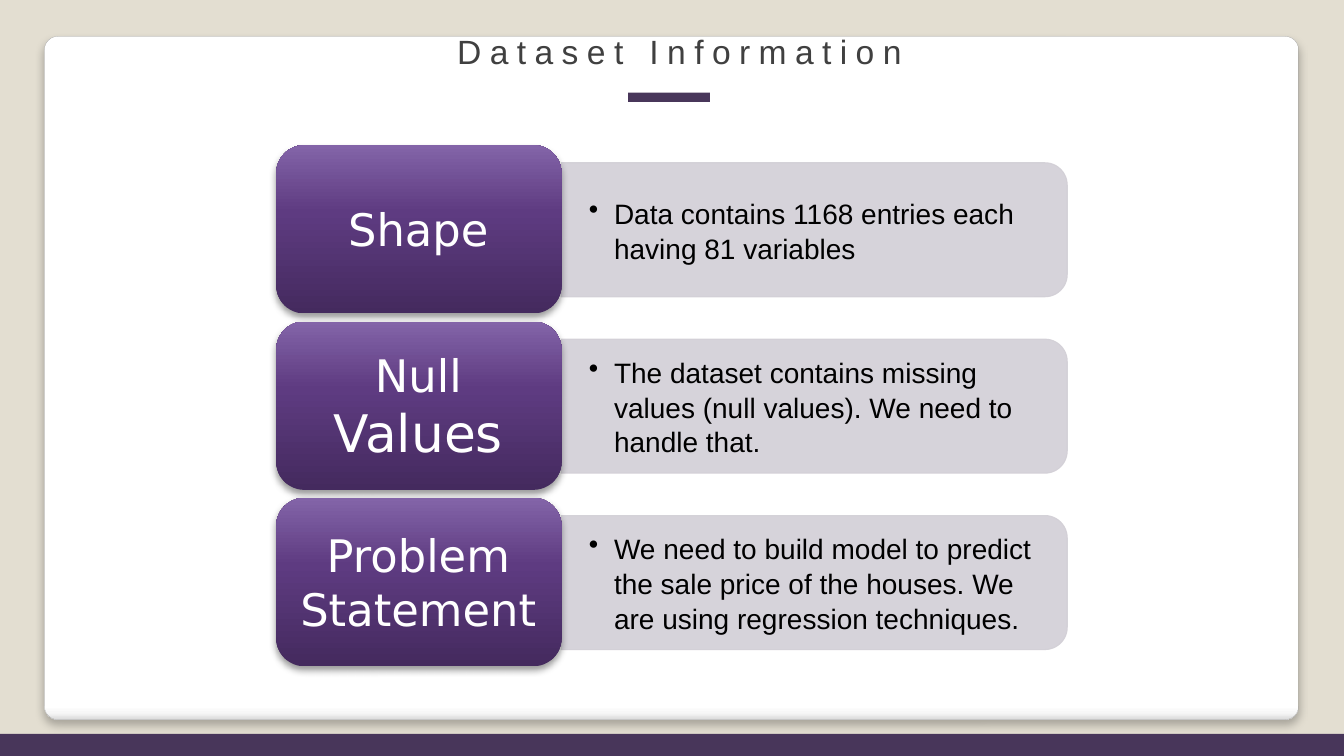
from dataclasses import dataclass

from pptx import Presentation
from pptx.dml.color import RGBColor
from pptx.enum.shapes import MSO_SHAPE
from pptx.enum.text import MSO_ANCHOR, MSO_AUTO_SIZE, PP_ALIGN
from pptx.oxml import parse_xml
from pptx.oxml.ns import nsdecls
from pptx.util import Inches, Pt

RECT = MSO_SHAPE.RECTANGLE
ROUND = MSO_SHAPE.ROUNDED_RECTANGLE
TAB = MSO_SHAPE.ROUND_2_SAME_RECTANGLE
MID = MSO_ANCHOR.MIDDLE
LEFT, CENTER = PP_ALIGN.LEFT, PP_ALIGN.CENTER
GROW = MSO_AUTO_SIZE.SHAPE_TO_FIT_TEXT

HUES = {
    "back": "E3DED1", "plum": "48365A", "title": "404040", "edge": "A4A4A4",
    "panel": "D2CFD6", "black": "000000", "white": "FFFFFF",
}
CARD_STOPS = [(0, "FFFFFF"), (98, "FFFFFF"), (99, "F7F7F7"), (100, "DADADA")]
LABEL_STOPS = [(0, "442A5E"), (60, "5E3B81"), (100, "8364A8")]

TITLE = {"name": "Arial", "size": Pt(24), "hue": "title"}
BODY = {"name": "Arial", "size": Pt(20), "hue": "black"}
LABEL = {"name": "DejaVu Sans", "size": Pt(32), "hue": "white"}
LARGE = LABEL | {"size": Pt(37)}

TOP, PITCH = 1.44, 1.75


@dataclass
class Row:
    label: list[tuple[str, dict]]
    body: str


ROWS = [
    Row([("Shape", LABEL)], "Data contains 1168 entries each having 81 variables"),
    Row([("Null ", LABEL), ("Values", LARGE)],
        "The dataset contains missing values (null values). We need to handle that."),
    Row([("Problem Statement", LABEL)],
        "We need to build model to predict the sale price of the houses. "
        "We are using regression techniques."),
]


def tint(name: str) -> RGBColor:
    return RGBColor.from_string(HUES[name])


def add_block(slide, kind, box: tuple, hue: str = ""):
    block = slide.shapes.add_shape(kind, *map(Inches, box))
    block.shadow.inherit = False
    block.line.fill.background()
    if hue:
        block.fill.solid()
        block.fill.fore_color.rgb = tint(hue)
    return block


def blend(block, stops: list, angle: int) -> None:
    marks = "".join(
        f'<a:gs pos="{spot * 1000}"><a:srgbClr val="{hue}"/></a:gs>' for spot, hue in stops)
    block._element.spPr.prstGeom.addnext(parse_xml(
        f'<a:gradFill {nsdecls("a")} rotWithShape="1"><a:gsLst>{marks}</a:gsLst>'
        f'<a:lin ang="{angle * 60000}" scaled="0"/></a:gradFill>'))


def shade(block, blur: float, gap: float, alpha: int) -> None:
    block._element.spPr.find(".//{*}effectLst").append(parse_xml(
        f'<a:outerShdw {nsdecls("a")} blurRad="{Pt(blur)}" dist="{Pt(gap)}" dir="5400000" '
        f'algn="ctr" rotWithShape="0"><a:srgbClr val="000000">'
        f'<a:alpha val="{alpha * 1000}"/></a:srgbClr></a:outerShdw>'))


def add_text(slide, box: tuple, runs: list, align, pad: tuple, **frame):
    area = slide.shapes.add_textbox(*map(Inches, box)).text_frame
    side, end = map(Inches, pad)
    look = {"word_wrap": True, "margin_left": side, "margin_right": side,
            "margin_top": end, "margin_bottom": end} | frame
    for key, value in look.items():
        setattr(area, key, value)
    para = area.paragraphs[0]
    para.alignment = align
    for words, style in runs:
        run = para.add_run()
        run.text = words
        for key, value in style.items():
            if key == "hue":
                run.font.color.rgb = tint(value)
            else:
                setattr(run.font, key, value)
    return para


def add_row(slide, row: Row, top: float) -> None:
    # Grey panel, turned so its round corners face right
    panel = add_block(slide, TAB, (7.41, top - 1.67, 1.33, 5.02), "panel")
    panel.rotation = 90
    panel.line.color.rgb = tint("panel")
    panel.line.width = Pt(0.75)
    for color in panel._element.spPr.iterfind(".//{*}srgbClr"):
        color.append(parse_xml(f'<a:alpha {nsdecls("a")} val="90000"/>'))

    # Bullet text
    para = add_text(slide, (5.57, top + 0.24, 4.96, 1.2), [(row.body, BODY)], LEFT,
                    (0.27, 0.14), vertical_anchor=MID)
    para.line_spacing = 1.04
    props = para._p.get_or_add_pPr()
    props.set("marL", str(Inches(0.25)))
    props.set("indent", str(Inches(-0.25)))
    props.append(parse_xml(f'<a:buChar {nsdecls("a")} char="•"/>'))

    # Purple label
    label = add_block(slide, ROUND, (2.74, top, 2.83, 1.67))
    blend(label, LABEL_STOPS, 270)
    shade(label, 5.2, 3, 40)
    add_text(slide, (2.82, top + 0.08, 2.66, 1.5), row.label, CENTER,
             (0.13, 0.07), vertical_anchor=MID)


def main() -> None:
    deck = Presentation()
    deck.slide_width, deck.slide_height = Inches(13.33), Inches(7.5)
    slide = deck.slides.add_slide(deck.slide_layouts[6])
    slide.background.fill.solid()
    slide.background.fill.fore_color.rgb = tint("back")

    # White card
    card = add_block(slide, ROUND, (0.44, 0.36, 12.44, 6.78))
    card.adjustments[0] = 0.02
    card.line.color.rgb = tint("edge")
    card.line.width = Pt(0.16)
    blend(card, CARD_STOPS, 90)
    shade(card, 6, 4, 25)

    # Foot band, title rule and title
    add_block(slide, RECT, (0, 7.28, 13.33, 0.22), "plum")
    add_block(slide, RECT, (6.23, 0.92, 0.81, 0.09), "plum")
    title = add_text(slide, (4.37, 0.26, 4.74, 0.5), [("Dataset Information", TITLE)],
                     CENTER, (0.1, 0.05), word_wrap=False, auto_size=GROW)
    title.runs[0]._r.get_or_add_rPr().set("spc", "600")

    # Fact rows
    for index, row in enumerate(ROWS):
        add_row(slide, row, TOP + index * PITCH)

    deck.save("out.pptx")


if __name__ == "__main__":
    main()
